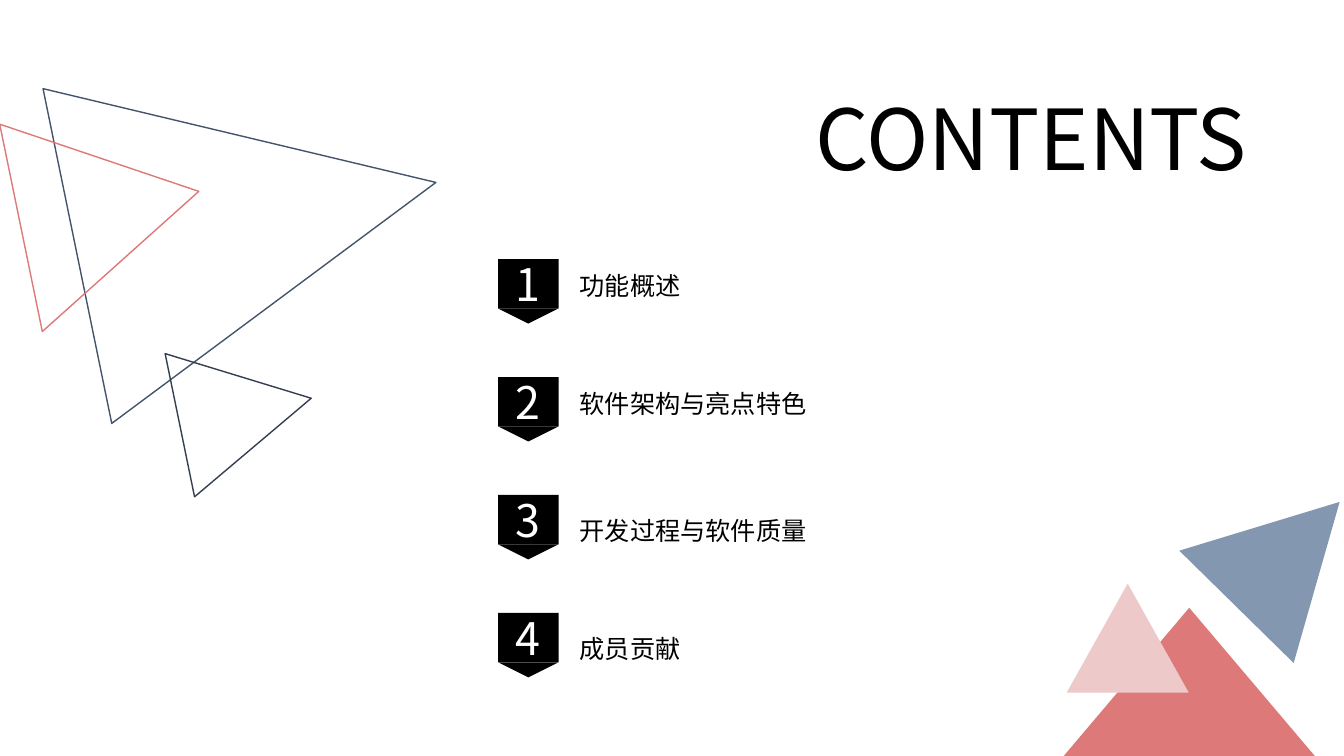
from lxml import etree
from pptx import Presentation
from pptx.dml.color import RGBColor
from pptx.enum.shapes import MSO_SHAPE
from pptx.enum.text import MSO_ANCHOR, PP_ALIGN
from pptx.oxml.ns import qn
from pptx.util import Inches, Pt

RECTANGLE = MSO_SHAPE.RECTANGLE
TRIANGLE = MSO_SHAPE.ISOSCELES_TRIANGLE
TOP, MIDDLE = MSO_ANCHOR.TOP, MSO_ANCHOR.MIDDLE
LEFT, CENTER = PP_ALIGN.LEFT, PP_ALIGN.CENTER

COLORS = {
    "black": "000000", "white": "FFFFFF", "slate": "44546A", "navy": "333F50",
    "coral": "DD7979", "pink": "EDC9C9", "blue": "8497B0",
}
SANS, ROBOTO = "Noto Sans CJK SC", "Roboto"

TITLE = "CONTENTS"
CHAPTERS = [
    ("功能概述", ROBOTO, 1.0),
    ("软件架构与亮点特色", ROBOTO, 1.0),
    ("开发过程与软件质量", SANS, 1.3),
    ("成员贡献", SANS, 1.3),
]
OUTLINE_TRIANGLES = [
    ((0.85, 0.36, 3.39, 3.63), "slate"),
    ((1.71, 3.42, 1.45, 1.33), "navy"),
    ((0.04, 1.18, 2.1, 1.8), "coral"),
]
OUTLINE_ROTATION = 78.4
SOLID_TRIANGLES = [
    ((10.55, 6.03, 2.49, 1.47), "coral", 0),
    ((10.58, 5.79, 1.21, 1.08), "pink", 0),
    ((11.98, 4.77, 1.59, 1.46), "blue", 44.5),
]

FIRST_TOP, ROW_STEP = 2.57, 1.17
BADGE_LEFT, BADGE_WIDTH, BADGE_HEIGHT, TIP_HEIGHT = 4.94, 0.6, 0.49, 0.15
NUMBER_HEIGHT = 0.68
LABEL_LEFT, LABEL_WIDTH, LABEL_HEIGHT, LABEL_OFFSET = 5.7, 3.56, 0.45, 0.06


def color(name):
    return RGBColor.from_string(COLORS[name])


def add_figure(shapes, kind, box, fill=None, line=None, rotation=0):
    shape = shapes.add_shape(kind, *map(Inches, box))
    shape.shadow.inherit = False
    shape.rotation = rotation
    if fill:
        shape.fill.solid()
        shape.fill.fore_color.rgb = color(fill)
    else:
        shape.fill.background()
    if line:
        shape.line.color.rgb = color(line)
        shape.line.width = Pt(1)
    else:
        shape.line.fill.background()
    return shape


def add_text(shapes, text, box, size, font, fill="black", align=LEFT,
             anchor=TOP, spacing=1.0):
    frame = shapes.add_textbox(*map(Inches, box)).text_frame
    frame.word_wrap = True
    frame.vertical_anchor = anchor
    frame.margin_left = frame.margin_right = Inches(0.05)
    frame.margin_top = frame.margin_bottom = Inches(0.05)
    frame.text = text
    paragraph = frame.paragraphs[0]
    paragraph.alignment = align
    paragraph.line_spacing = spacing
    run = paragraph.runs[0]
    run.font.size = Pt(size)
    run.font.name = font
    run.font.color.rgb = color(fill)
    east_asian = etree.SubElement(run.font._element, qn("a:ea"))
    east_asian.set("typeface", font)


def add_badge(slide, number, top):
    shapes = slide.shapes.add_group_shape().shapes
    add_figure(shapes, RECTANGLE,
               (BADGE_LEFT, top, BADGE_WIDTH, BADGE_HEIGHT), "black")
    number_top = top + (BADGE_HEIGHT - NUMBER_HEIGHT) / 2
    add_text(shapes, str(number),
             (BADGE_LEFT, number_top, BADGE_WIDTH, NUMBER_HEIGHT),
             32, SANS, "white", CENTER, MIDDLE)
    add_figure(shapes, TRIANGLE,
               (BADGE_LEFT, top + BADGE_HEIGHT, BADGE_WIDTH, TIP_HEIGHT),
               "black", rotation=180)


def main():
    presentation = Presentation()
    presentation.slide_width = Inches(13.33)
    presentation.slide_height = Inches(7.5)
    slide = presentation.slides.add_slide(presentation.slide_layouts[6])

    outlines = slide.shapes.add_group_shape().shapes
    for box, line in OUTLINE_TRIANGLES:
        add_figure(outlines, TRIANGLE, box, line=line, rotation=OUTLINE_ROTATION)
    for box, fill, rotation in SOLID_TRIANGLES:
        add_figure(slide.shapes, TRIANGLE, box, fill, rotation=rotation)

    for index, (label, font, spacing) in enumerate(CHAPTERS):
        top = FIRST_TOP + index * ROW_STEP
        add_badge(slide, index + 1, top)
        add_text(slide.shapes, label,
                 (LABEL_LEFT, top + LABEL_OFFSET, LABEL_WIDTH, LABEL_HEIGHT),
                 18, font, spacing=spacing)

    add_text(slide.shapes, TITLE, (7.64, 0.81, 5.17, 1.2), 60, SANS, align=CENTER)
    presentation.save("out.pptx")


if __name__ == "__main__":
    main()
